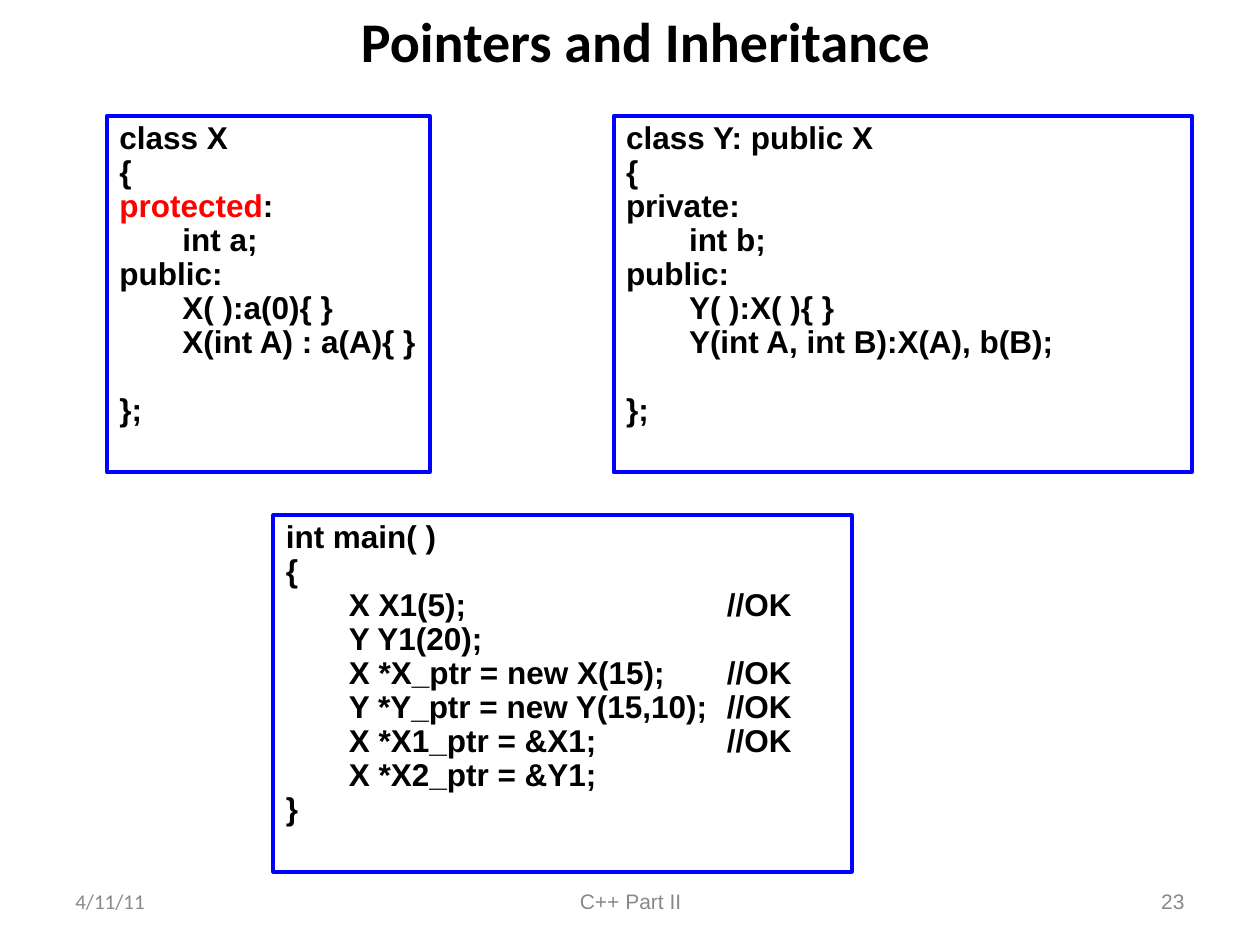
from dataclasses import dataclass

from lxml import etree
from pptx import Presentation
from pptx.dml.color import RGBColor
from pptx.enum import shapes, text
from pptx.oxml import ns
from pptx.util import Inches, Pt


@dataclass(frozen=True)
class Theme:
    ink: RGBColor = RGBColor(0, 0, 0)
    blue: RGBColor = RGBColor(0, 0, 255)
    red: RGBColor = RGBColor(255, 0, 0)
    gray: RGBColor = RGBColor(0x89, 0x89, 0x89)
    sans: str = "Arial"
    head: str = "Calibri"
    title: int = 32
    code: int = 18
    foot: int = 12
    edge: float = 2.25
    gap: float = 19.4


@dataclass(frozen=True)
class Code:
    left: float
    top: float
    width: float
    lines: tuple[str, ...]
    mark: str = ""
    apart: int = -1


@dataclass(frozen=True)
class Note:
    left: float
    width: float
    words: str
    font: str
    align: text.PP_ALIGN


THEME = Theme()
HEIGHT = 2.83
TABS = (0.5, 3.5)

CODES = (
    Code(0.85, 0.92, 2.56, (
        "class X",
        "{",
        "protected:",
        "\tint a;",
        "public:",
        "\tX( ):a(0){ }",
        "\tX(int A) : a(A){ }",
        "};",
    ), mark="protected", apart=7),
    Code(4.87, 0.92, 4.59, (
        "class Y: public X",
        "{",
        "private:",
        "\tint b;",
        "public:",
        "\tY( ):X( ){ }",
        "\tY(int A, int B):X(A), b(B);",
        "};",
    ), apart=7),
    Code(2.17, 4.09, 4.59, (
        "int main( )",
        "{",
        "\tX X1(5);\t//OK",
        "\tY Y1(20);",
        "\tX *X_ptr = new X(15);\t//OK",
        "\tY *Y_ptr = new Y(15,10);\t//OK",
        "\tX *X1_ptr = &X1;\t//OK",
        "\tX *X2_ptr = &Y1;",
        "}",
    )),
)

NOTES = (
    Note(0.5, 2.33, "4/11/11", THEME.head, text.PP_ALIGN.LEFT),
    Note(3.42, 3.17, "C++ Part II", THEME.sans, text.PP_ALIGN.CENTER),
    Note(7.17, 2.33, "23", THEME.sans, text.PP_ALIGN.RIGHT),
)


def style(para, font: str, size: int, color: RGBColor, bold: bool = False) -> None:
    for run in para.runs:
        run.font.name = font
        run.font.size = Pt(size)
        run.font.bold = bold
        run.font.color.rgb = color


def add_tabs(para) -> None:
    stops = etree.SubElement(para._p.get_or_add_pPr(), ns.qn("a:tabLst"))
    for stop in TABS:
        etree.SubElement(stops, ns.qn("a:tab"), pos=str(Inches(stop)), algn="l")


def draw_title(slide, words: str) -> None:
    title = slide.shapes.title
    title.left, title.top = Inches(0.75), Inches(0)
    title.width, title.height = Inches(8.75), Inches(0.64)
    frame = title.text_frame
    frame.text = words
    frame.vertical_anchor = text.MSO_ANCHOR.TOP
    frame.auto_size = text.MSO_AUTO_SIZE.NONE
    para = frame.paragraphs[0]
    para.alignment = text.PP_ALIGN.CENTER
    style(para, THEME.head, THEME.title, THEME.ink, True)


def draw_code(slide, code: Code) -> None:
    box = slide.shapes.add_shape(
        shapes.MSO_SHAPE.RECTANGLE,
        Inches(code.left), Inches(code.top), Inches(code.width), Inches(HEIGHT),
    )
    box.shadow.inherit = False
    box.fill.background()
    box.line.color.rgb = THEME.blue
    box.line.width = Pt(THEME.edge)
    frame = box.text_frame
    frame.word_wrap = True
    frame.vertical_anchor = text.MSO_ANCHOR.TOP
    frame.margin_right = 0
    frame.text = "\n".join(code.lines)
    for row, para in enumerate(frame.paragraphs):
        para.alignment = text.PP_ALIGN.LEFT
        para.line_spacing = 0.9
        if row == code.apart:
            para.space_before = Pt(THEME.gap)
        add_tabs(para)
        marked = code.mark and para.text.startswith(code.mark)
        if marked:
            rest = para.text.removeprefix(code.mark)
            para.text = code.mark
            para.add_run().text = rest
        style(para, THEME.sans, THEME.code, THEME.ink, True)
        if marked:
            para.runs[0].font.color.rgb = THEME.red


def draw_note(slide, note: Note) -> None:
    box = slide.shapes.add_textbox(
        Inches(note.left), Inches(6.95), Inches(note.width), Inches(0.4)
    )
    frame = box.text_frame
    frame.word_wrap = True
    frame.vertical_anchor = text.MSO_ANCHOR.MIDDLE
    frame.text = note.words
    para = frame.paragraphs[0]
    para.alignment = note.align
    style(para, note.font, THEME.foot, THEME.gray)


def main() -> None:
    deck = Presentation()
    deck.slide_width, deck.slide_height = Inches(10), Inches(7.5)
    slide = deck.slides.add_slide(deck.slide_layouts[5])
    draw_title(slide, "Pointers and Inheritance")
    for code in CODES:
        draw_code(slide, code)
    for note in NOTES:
        draw_note(slide, note)
    deck.save("out.pptx")


if __name__ == "__main__":
    main()
